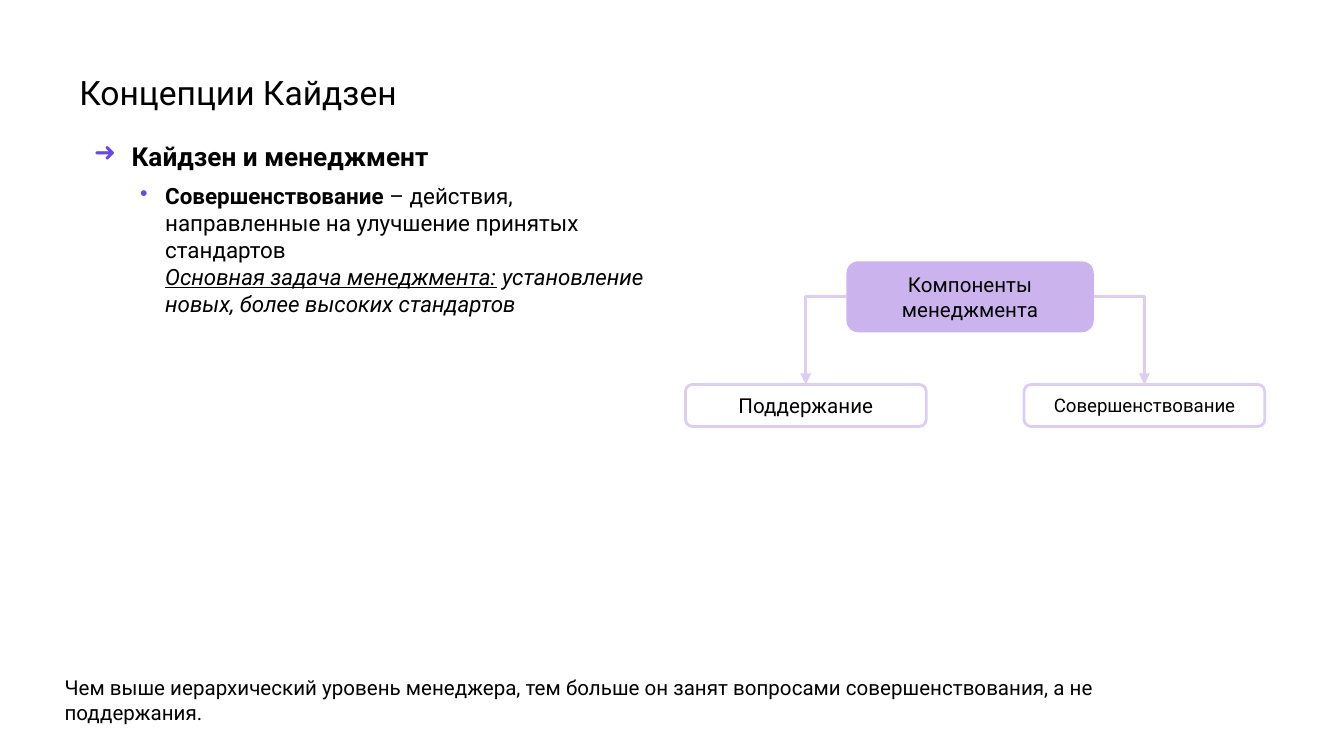
"""Build the slide on Kaizen and the two components of management."""
from lxml import etree
from pptx import Presentation
from pptx import util as u
from pptx.dml.color import RGBColor
from pptx.enum import shapes, text
from pptx.oxml.ns import qn

COLORS = {"text": "000000", "bullet": "684AE0", "main": "CBB4ED", "line": "DCCDF3", "white": "FFFFFF"}


def add_run(paragraph, words, size, bold=False, italic=False, underline=False):
    run = paragraph.add_run()
    run.text = words
    font = run.font
    font.name, font.size = "Roboto", u.Pt(size)
    font.bold, font.italic, font.underline = bold, italic, underline
    font.color.rgb = RGBColor.from_string(COLORS["text"])


def set_frame(frame, left, top, right, bottom, anchor=text.MSO_ANCHOR.TOP):
    frame.word_wrap = True
    frame.auto_size = text.MSO_AUTO_SIZE.NONE
    frame.margin_left, frame.margin_top = u.Pt(left), u.Pt(top)
    frame.margin_right, frame.margin_bottom = u.Pt(right), u.Pt(bottom)
    frame.vertical_anchor = anchor


presentation = Presentation()
presentation.slide_width, presentation.slide_height = u.Pt(720), u.Pt(405)
slide = presentation.slides.add_slide(presentation.slide_layouts[5])

title = slide.shapes.title
title.left, title.top, title.width, title.height = u.Pt(42.5), u.Pt(37.5), u.Pt(469.5), u.Pt(22.5)
set_frame(title.text_frame, 0, 1, 0, 0)
paragraph = title.text_frame.paragraphs[0]
paragraph.alignment = text.PP_ALIGN.LEFT
add_run(paragraph, "Концепции Кайдзен", 18)

body = slide.shapes.add_textbox(u.Pt(42.5), u.Pt(68.5), u.Pt(317.5), u.Pt(108.5))
set_frame(body.text_frame, 0, 6.5, 0, 0)
heading = body.text_frame.paragraphs[0]
detail = body.text_frame.add_paragraph()
detail.space_before = u.Pt(6)
for paragraph, symbol, margin, indent in ((heading, "➜", 28, -20), (detail, "•", 46, -13.5)):
    properties = paragraph._p.get_or_add_pPr()
    properties.set("marL", str(u.Pt(margin)))
    properties.set("indent", str(u.Pt(indent)))
    bullet_color = etree.SubElement(properties, qn("a:buClr"))
    etree.SubElement(bullet_color, qn("a:srgbClr"), val=COLORS["bullet"])
    etree.SubElement(properties, qn("a:buChar"), char=symbol)
add_run(heading, "Кайдзен и менеджмент", 14, bold=True)
add_run(detail, "Совершенствование", 12, bold=True)
add_run(detail, " – действия, направленные на улучшение принятых стандартов", 12)
detail.add_line_break()
add_run(detail, "Основная задача менеджмента:", 12, italic=True, underline=True)
add_run(detail, " установление новых, более высоких стандартов", 12, italic=True)

note = slide.shapes.add_textbox(u.Pt(27.5), u.Pt(358), u.Pt(629.5), u.Pt(34))
set_frame(note.text_frame, 7.2, 3.6, 7.2, 3.6)
add_run(
    note.text_frame.paragraphs[0],
    "Чем выше иерархический уровень менеджера, тем больше он занят вопросами совершенствования, а не поддержания.",
    11,
)

boxes = []
for label, size, left, top, width, height, fill, line in (
    ("Компоненты менеджмента", 11, 453.5, 140, 132.5, 38, "main", None),
    ("Поддержание", 11, 367.2, 206, 129, 22.5, "white", "line"),
    ("Совершенствование", 10, 548.6, 206, 129, 22.5, "white", "line"),
):
    box = slide.shapes.add_shape(
        shapes.MSO_SHAPE.ROUNDED_RECTANGLE, u.Pt(left), u.Pt(top), u.Pt(width), u.Pt(height)
    )
    box.shadow.inherit = False
    box.fill.solid()
    box.fill.fore_color.rgb = RGBColor.from_string(COLORS[fill])
    if line:
        box.line.color.rgb = RGBColor.from_string(COLORS[line])
        box.line.width = u.Pt(1.5)
    else:
        box.line.fill.background()
    set_frame(box.text_frame, 7.2, 7.2, 7.2, 7.2, text.MSO_ANCHOR.MIDDLE)
    paragraph = box.text_frame.paragraphs[0]
    paragraph.alignment = text.PP_ALIGN.CENTER
    add_run(paragraph, label, size)
    boxes.append(box)

management, *components = boxes
for component, side in zip(components, (1, 3)):
    start = management.left if side == 1 else management.left + management.width
    connector = slide.shapes.add_connector(
        shapes.MSO_CONNECTOR.ELBOW,
        start,
        management.top + management.height // 2,
        component.left + component.width // 2,
        component.top,
    )
    connector.begin_connect(management, side)
    connector.end_connect(component, 0)
    connector.line.color.rgb = RGBColor.from_string(COLORS["line"])
    connector.line.width = u.Pt(1.5)
    properties = connector._element.spPr
    properties.find(qn("a:prstGeom")).set("prst", "bentConnector2")
    etree.SubElement(connector.line._get_or_add_ln(), qn("a:tailEnd"), type="triangle")
    etree.SubElement(properties, qn("a:effectLst"))

presentation.save("out.pptx")
